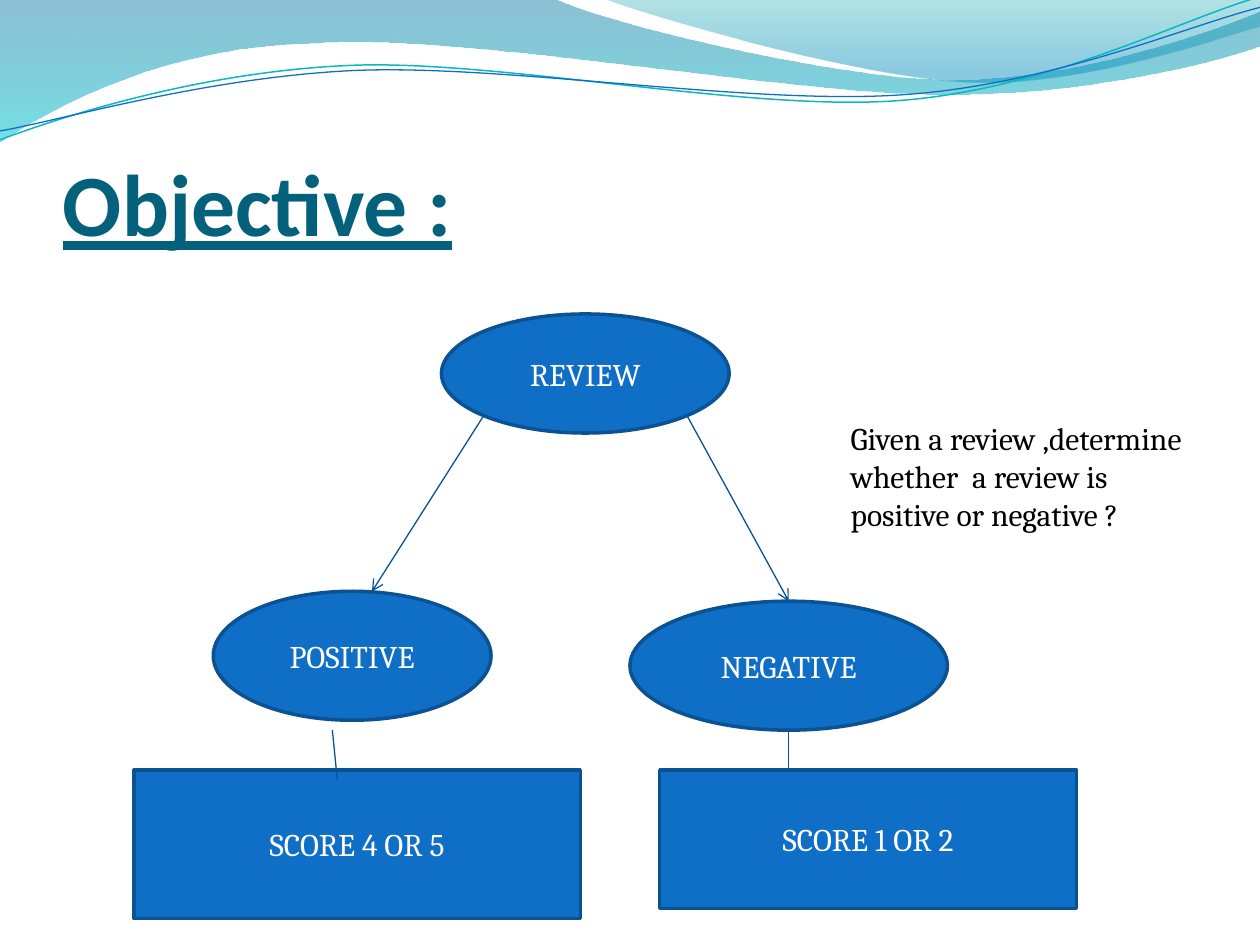
from itertools import chain
from lxml.etree import SubElement
from pptx import Presentation
from pptx.dml.color import RGBColor
from pptx.enum.shapes import MSO_CONNECTOR as CONNECTOR, MSO_SHAPE as SHAPE
from pptx.enum.text import MSO_ANCHOR as ANCHOR, MSO_AUTO_SIZE as AUTO_SIZE, PP_ALIGN as ALIGN
from pptx.oxml.ns import qn
from pptx.util import Cm, Pt

# Content: all lengths in centimetres
TITLE = ("Objective :", (1.27, 1.95, 23.06, 3.18))
QUESTION = ("Given a review ,determine whether  a review is positive or negative ?",
            (16.9, 8.33, 7.8, 2.57))
NODES = [
    ("REVIEW", SHAPE.OVAL, (8.9, 6.33, 5.8, 2.4)),
    ("POSITIVE", SHAPE.OVAL, (4.3, 11.92, 5.6, 2.6)),
    ("NEGATIVE", SHAPE.OVAL, (12.7, 12.12, 6.4, 2.6)),
    ("SCORE 4 OR 5", SHAPE.RECTANGLE, (2.7, 15.52, 9, 3)),
    ("SCORE 1 OR 2", SHAPE.RECTANGLE, (13.3, 15.52, 8.4, 2.8)),
]
# Start, end, arrowhead
LINKS = [
    ((9.75, 8.38), (7.5, 11.92), True),
    ((13.85, 8.38), (15.9, 12.12), True),
    ((6.7, 14.72), (6.8, 15.72), False),
    ((15.9, 14.72), (15.9, 15.52), False),
]
# Wave outlines: one point is a straight step, three points are a Bezier curve
BANDS = [
    ([[(0, 0)], [(11.18, -0.03)],
      [(12.09, 0.43), (16.87, 1.6), (19.25, 1.6)],
      [(21.67, 1.6), (24.33, 0.66), (25.4, 0.23)],
      [(25.43, 0.91)],
      [(24.97, 1.12), (22.1, 1.93), (18.95, 1.9)],
      [(15.8, 1.9), (9.7, 0.71), (6.53, 0.86)],
      [(3.28, 0.91), (1.17, 2.11), (-0.03, 2.87)],
      [(0, 0)]],
     [(0, "0074A1", 45), (100, "00C6CF", 55)]),
    ([[(12.17, -0.03)],
      [(12.93, 0.28), (17.32, 1.57), (19.53, 1.65)],
      [(21.74, 1.75), (24.41, 0.81), (25.4, 0.53)],
      [(25.4, 0)], [(12.17, -0.03)]],
     [(0, "00A1A9", 30), (80, "008BBF", 45)]),
]
STRANDS = [
    ([[(0, 2.82)],
      [(1.22, 2.36), (4.01, 1.45), (7.04, 1.32)],
      [(10.03, 1.19), (15.06, 2.26), (18.11, 2.03)],
      [(21.16, 1.8), (23.83, 0.38), (25.35, -0.05)]], "0AB8BF", 0.85),
    ([[(0, 2.64)],
      [(1.19, 2.44), (4.17, 1.55), (7.19, 1.42)],
      [(10.24, 1.3), (15.16, 2.13), (18.21, 1.91)],
      [(21.23, 1.7), (23.9, 0.53), (25.4, 0.15)]], "0F6FC6", 0.75),
]


def color(value):
    return RGBColor.from_string(value)


def set_line(shape, value, width):
    shape.line.color.rgb = color(value)
    shape.line.width = Pt(width)


def add_wave(slide, outline, close):
    points = [(Cm(x), Cm(y)) for x, y in chain.from_iterable(outline)]
    builder = slide.shapes.build_freeform(*points[0])
    builder.add_line_segments(points[1:], close=close)
    shape = builder.convert_to_shape()
    shape.shadow.inherit = False
    # Join each group of three straight segments into one Bezier curve
    segments = iter(list(shape._element.iter(qn("a:lnTo"))))
    for step in outline[1:]:
        curve = next(segments)
        if len(step) == 3:
            curve.tag = qn("a:cubicBezTo")
            for _ in range(2):
                segment = next(segments)
                curve.append(segment[0])
                segment.getparent().remove(segment)
    return shape


def fill_gradient(shape, stops):
    shape.fill.gradient()
    shape.fill.gradient_angle = 270
    for stop, (position, value, _) in zip(shape.fill.gradient_stops, stops):
        stop.position = position / 100
        stop.color.rgb = color(value)
    for element, (_, _, opacity) in zip(shape._element.spPr.iter(qn("a:srgbClr")), stops):
        SubElement(element, qn("a:alpha"), val=str(opacity * 1000))


def write(shape, text, size, font, value, align=ALIGN.LEFT, anchor=ANCHOR.TOP):
    frame = shape.text_frame
    frame.word_wrap = True
    frame.vertical_anchor = anchor
    paragraph = frame.paragraphs[0]
    paragraph.alignment = align
    run = paragraph.add_run()
    run.text = text
    run.font.size = Pt(size)
    run.font.name = font
    run.font.color.rgb = color(value)
    return run


def add_text(slide, text, box, *style, **layout):
    shape = slide.shapes.add_textbox(*map(Cm, box))
    return shape, write(shape, text, *style, **layout)


def add_node(slide, text, kind, box):
    shape = slide.shapes.add_shape(kind, *map(Cm, box))
    shape.shadow.inherit = False
    shape.fill.solid()
    shape.fill.fore_color.rgb = color("0F6FC6")
    set_line(shape, "0B5292", 2)
    write(shape, text, 18, "Cambria", "FFFFFF", ALIGN.CENTER, ANCHOR.MIDDLE)


def add_link(slide, start, end, arrow):
    link = slide.shapes.add_connector(CONNECTOR.STRAIGHT, *map(Cm, start + end))
    set_line(link, "095295", 0.75)
    if arrow:
        SubElement(link.line._get_or_add_ln(), qn("a:tailEnd"), type="arrow")
    SubElement(link._element.spPr, qn("a:effectLst"))


def main():
    presentation = Presentation()
    presentation.slide_width, presentation.slide_height = Cm(25.4), Cm(19.05)
    slide = presentation.slides.add_slide(presentation.slide_layouts[6])

    # Waves along the top
    for outline, stops in BANDS:
        band = add_wave(slide, outline, close=True)
        fill_gradient(band, stops)
        band.line.fill.background()
    for outline, value, width in STRANDS:
        strand = add_wave(slide, outline, close=False)
        strand.fill.background()
        set_line(strand, value, width)

    # Title
    shape, run = add_text(slide, *TITLE, 50, "Calibri", "04617B", anchor=ANCHOR.BOTTOM)
    frame = shape.text_frame
    frame.margin_left = frame.margin_right = frame.margin_bottom = 0
    run.font.bold = run.font.underline = True

    # Decision tree
    for node in NODES:
        add_node(slide, *node)
    for link in LINKS:
        add_link(slide, *link)

    # Question beside the tree
    shape, _ = add_text(slide, *QUESTION, 18, "Cambria", "000000")
    shape.text_frame.auto_size = AUTO_SIZE.SHAPE_TO_FIT_TEXT

    presentation.save("out.pptx")


if __name__ == "__main__":
    main()
